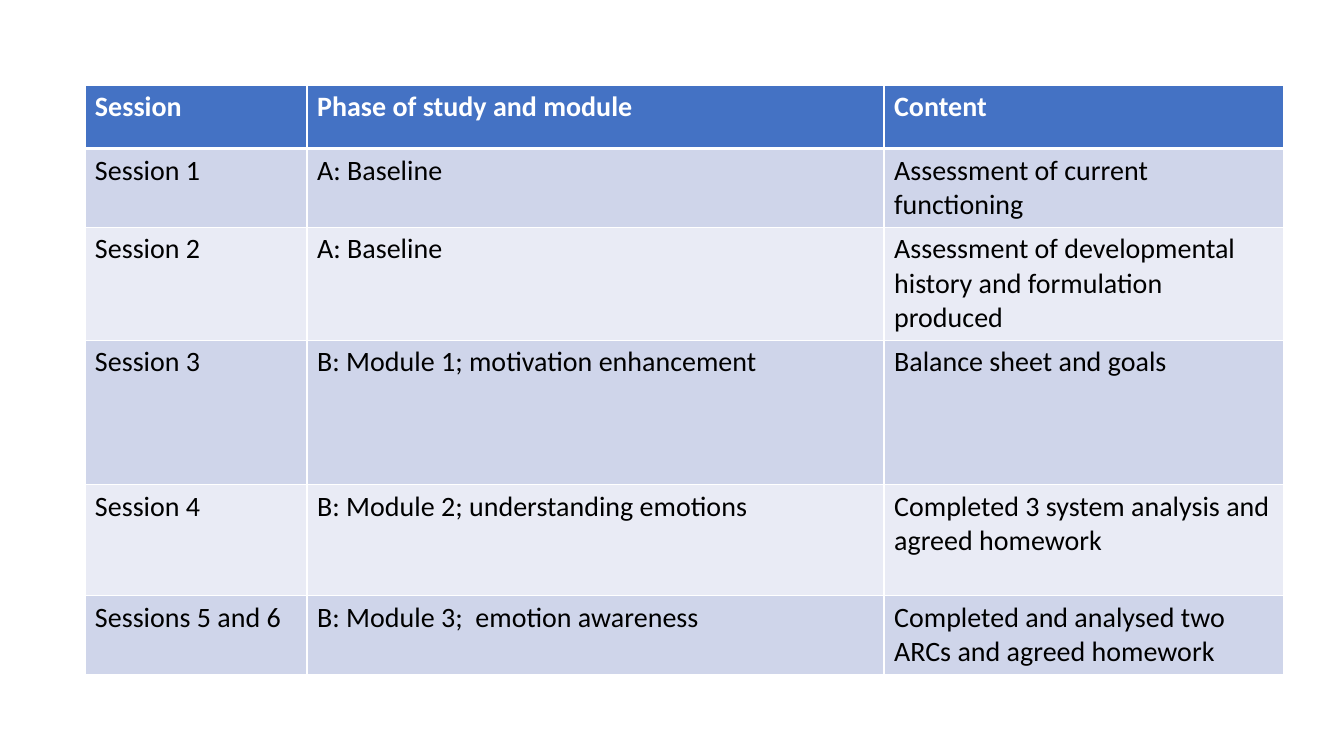
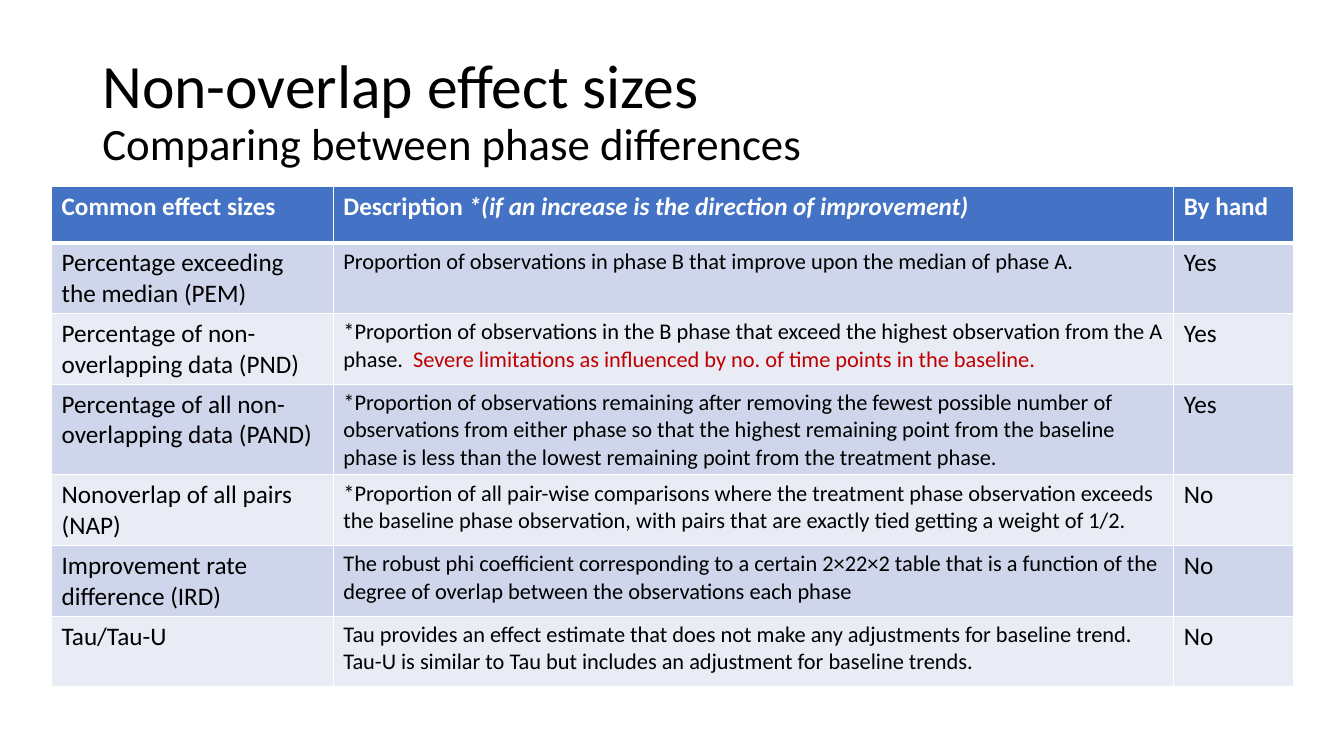
from dataclasses import dataclass

from lxml.etree import SubElement
from pptx import Presentation
from pptx.dml.color import RGBColor
from pptx.enum.text import MSO_ANCHOR
from pptx.oxml.ns import qn
from pptx.util import Cm, Pt


@dataclass(frozen=True)
class Theme:
    font: str = "Calibri"
    header: str = "4472C4"
    bands: tuple = ("CFD5EA", "E9EBF5")
    white: str = "FFFFFF"
    text: str = "000000"
    warning: str = "C00000"
    title_size: int = 44
    subtitle_size: int = 32
    large: int = 20
    medium: int = 18
    small: int = 16
    thin: int = 1
    thick: int = 3


THEME = Theme()


class Deck:
    def __init__(self, theme):
        self.theme = theme
        self.presentation = Presentation()
        self.presentation.slide_width = Cm(33.87)
        self.presentation.slide_height = Cm(19.05)
        self.slide = None

    def new_slide(self):
        blank = self.presentation.slide_layouts[6]
        self.slide = self.presentation.slides.add_slide(blank)

    def add_text(self, paragraph, text, **formats):
        run = paragraph.add_run()
        run.text = text
        run.font.name = self.theme.font
        color = formats.pop("color", self.theme.text)
        run.font.color.rgb = RGBColor.from_string(color)
        for name, value in formats.items():
            setattr(run.font, name, value)

    def title(self, heading, subheading):
        box = self.slide.shapes.add_textbox(Cm(2.33), Cm(1.01), Cm(29.21), Cm(3.68))
        frame = box.text_frame
        frame.word_wrap = True
        frame.vertical_anchor = MSO_ANCHOR.MIDDLE
        paragraph = frame.paragraphs[0]
        paragraph.line_spacing = 0.9
        self.add_text(paragraph, heading, size=Pt(self.theme.title_size))
        paragraph.add_line_break()
        self.add_text(paragraph, subheading, size=Pt(self.theme.subtitle_size))

    def border(self, cell, top, bottom):
        """Draw white cell edges; the side edges are always thin."""
        properties = cell._tc.get_or_add_tcPr()
        thin = self.theme.thin
        edges = {"lnL": thin, "lnR": thin, "lnT": top, "lnB": bottom}
        for index, (tag, width) in enumerate(edges.items()):
            line = SubElement(properties, qn(f"a:{tag}"), w=str(Pt(width)))
            fill = SubElement(line, qn("a:solidFill"))
            SubElement(fill, qn("a:srgbClr"), val=self.theme.white)
            properties.insert(index, line)

    def table(self, left, top, widths, heights, rows, header_size, body_sizes):
        """Place a banded table; a cell is a string or a list of (text, formats)."""
        theme = self.theme
        grid = self.slide.shapes.add_table(
            len(rows), len(widths), Cm(left), Cm(top),
            Cm(sum(widths)), Cm(sum(heights))).table
        for column, width in zip(grid.columns, widths):
            column.width = Cm(width)
        for row, height in zip(grid.rows, heights):
            row.height = Cm(height)

        for r, row in enumerate(rows):
            is_header = r == 0
            fill = theme.header if is_header else theme.bands[(r - 1) % 2]
            for c, content in enumerate(row):
                cell = grid.cell(r, c)
                cell.fill.solid()
                cell.fill.fore_color.rgb = RGBColor.from_string(fill)
                self.border(cell,
                            top=theme.thick if r == 1 else theme.thin,
                            bottom=theme.thick if is_header else theme.thin)
                base = {
                    "size": Pt(header_size if is_header else body_sizes[c]),
                    "bold": is_header,
                    "color": theme.white if is_header else theme.text,
                }
                runs = [(content, {})] if isinstance(content, str) else content
                for text, formats in runs:
                    self.add_text(cell.text_frame.paragraphs[0], text,
                                  **{**base, **formats})


SESSIONS = [
    ("Session", "Phase of study and module", "Content"),
    ("Session 1", "A: Baseline", "Assessment of current functioning"),
    ("Session 2", "A: Baseline",
     "Assessment of developmental history and formulation produced"),
    ("Session 3", "B: Module 1; motivation enhancement", "Balance sheet and goals"),
    ("Session 4", "B: Module 2; understanding emotions",
     "Completed 3 system analysis and agreed homework"),
    ("Sessions 5 and 6", "B: Module 3;  emotion awareness",
     "Completed and analysed two ARCs and agreed homework"),
]

EFFECT_SIZES = [
    ("Common effect sizes",
     [("Description ", {}),
      ("*(if an increase is the direction of improvement)", {"italic": True})],
     "By hand"),
    ("Percentage exceeding the median (PEM)",
     "Proportion of observations in phase B that improve upon the median of phase A.",
     "Yes"),
    ("Percentage of non-overlapping data (PND)",
     [("*Proportion of observations in the B phase that exceed the highest "
       "observation from the A phase.  ", {}),
      ("Severe limitations as influenced by no. of time points in the baseline.",
       {"color": THEME.warning})],
     "Yes"),
    ("Percentage of all non-overlapping data (PAND)",
     "*Proportion of observations remaining after removing the fewest possible "
     "number of observations from either phase so that the highest remaining point "
     "from the baseline phase is less than the lowest remaining point from the "
     "treatment phase.",
     "Yes"),
    ("Nonoverlap of all pairs (NAP)",
     "*Proportion of all pair-wise comparisons where the treatment phase observation "
     "exceeds the baseline phase observation, with pairs that are exactly tied "
     "getting a weight of 1/2.",
     "No"),
    ("Improvement rate difference (IRD)",
     "The robust phi coefficient corresponding to a certain 2×22×2 table that is a "
     "function of the degree of overlap between the observations each phase",
     "No"),
    ("Tau/Tau-U",
     "Tau provides an effect estimate that does not make any adjustments for baseline "
     "trend. Tau-U is similar to Tau but includes an adjustment for baseline trends.",
     "No"),
]


def main():
    deck = Deck(THEME)

    deck.new_slide()
    deck.table(2.14, 2.14, widths=(5.6, 14.54, 10.06),
               heights=(1.6, 1.96, 2.8, 3.64, 2.8, 1.96), rows=SESSIONS,
               header_size=THEME.large, body_sizes=[THEME.large] * 3)

    deck.new_slide()
    deck.title("Non-overlap effect sizes", "Comparing between phase differences")
    deck.table(1.3, 4.7, widths=(7.1, 21.18, 3.02),
               heights=(1.42, 1.78, 1.78, 2.28, 1.78, 1.78, 1.78), rows=EFFECT_SIZES,
               header_size=THEME.medium,
               body_sizes=(THEME.medium, THEME.small, THEME.medium))

    deck.presentation.save("out.pptx")


if __name__ == "__main__":
    main()
